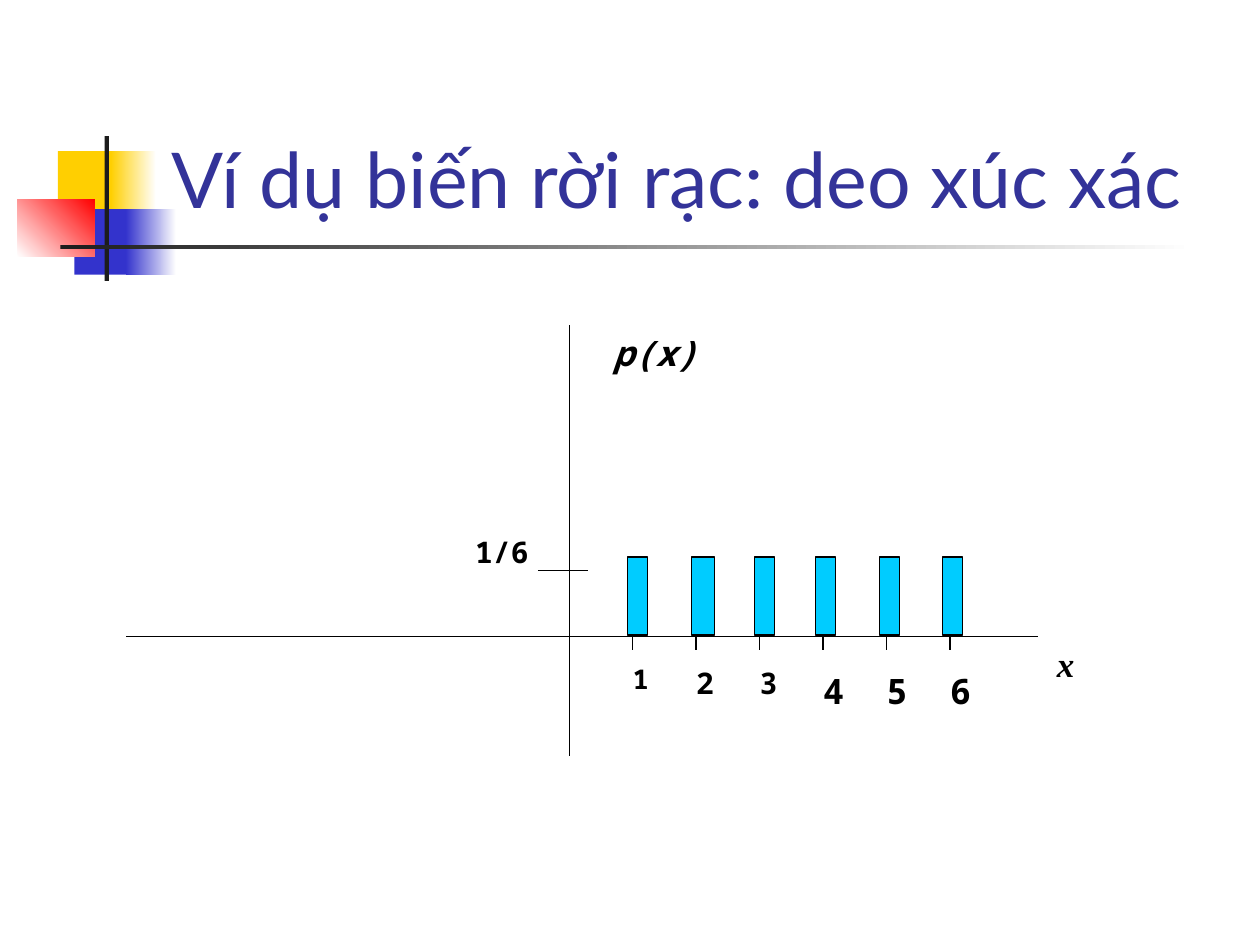
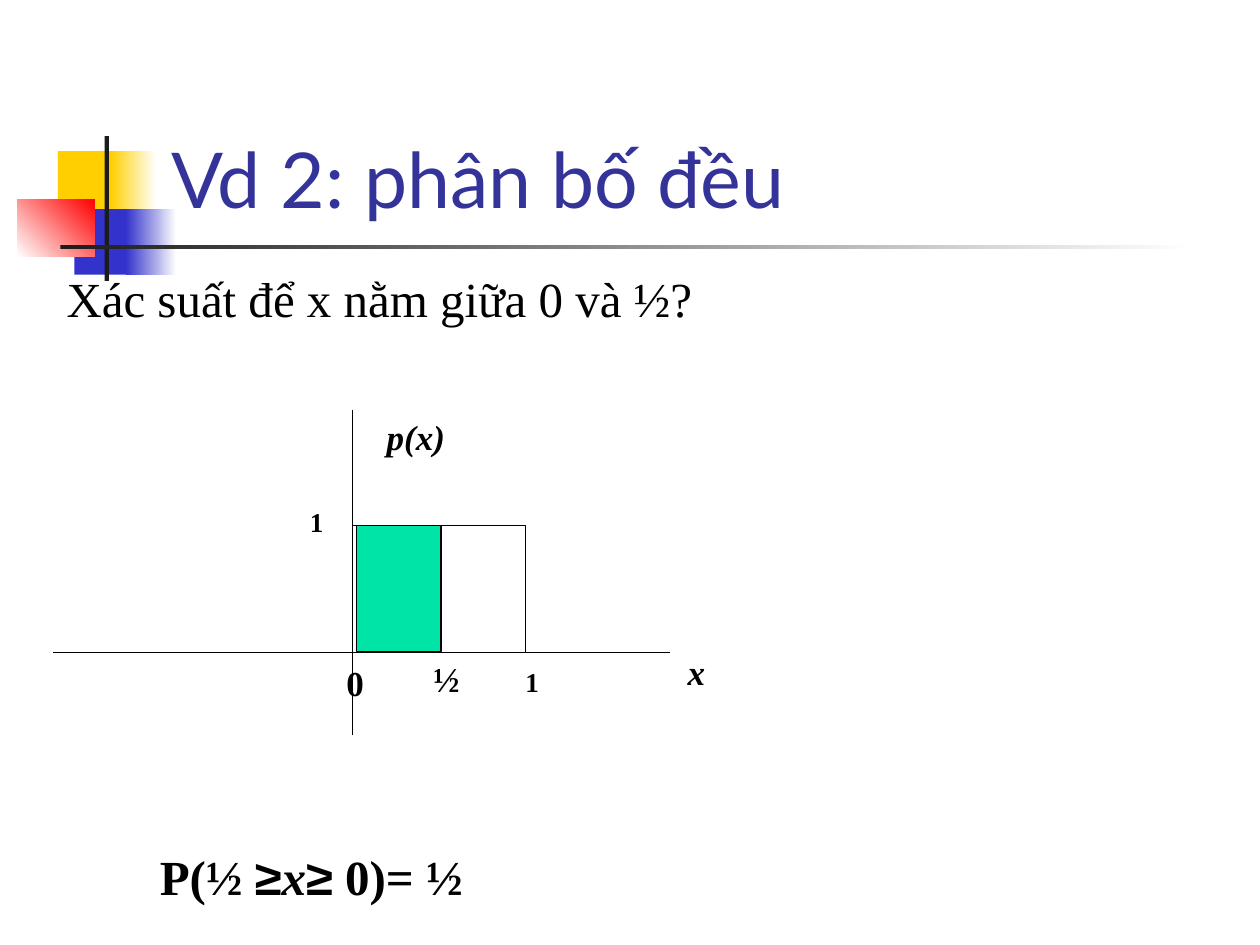
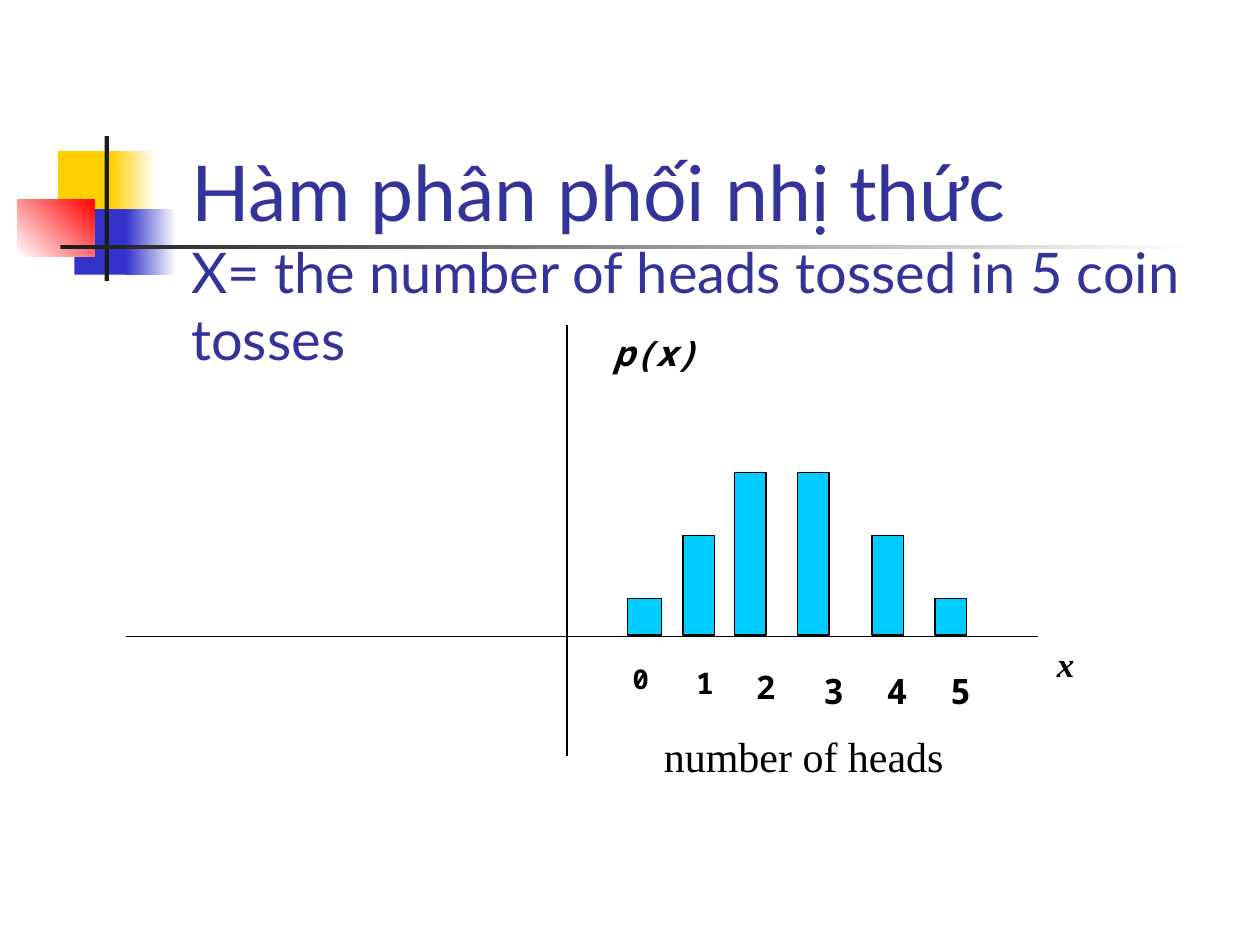
from dataclasses import dataclass

import pptx
import pptx.dml.color
import pptx.enum.dml
import pptx.enum.shapes
import pptx.enum.text
import pptx.oxml
import pptx.oxml.ns
import pptx.util

COLUMNS, ROWS = 100, 75
CELL = pptx.util.Inches(0.1)


@dataclass(frozen=True)
class Theme:
    sans: str = "Lato"
    mono: str = "Noto Sans Mono"
    serif: str = "Times New Roman"
    symbol: str = "Arial"
    title: str = "333399"
    ink: str = "000000"
    yellow: str = "FFCF01"
    blue: str = "3333CC"
    red: str = "FF0000"
    dark: str = "1C1C1C"
    white: str = "FFFFFF"
    bar: str = "00CCFF"
    area: str = "00E4A8"
    title_size: float = 44
    subtitle_size: float = 32
    body_size: float = 28
    caption_size: float = 24
    axis_size: float = 20
    medium_size: float = 18.5
    small_size: float = 17
    tiny_size: float = 15.5
    line_width: float = 0.75


T = Theme()


@dataclass(frozen=True)
class Box:
    left: float
    top: float
    width: float
    height: float


@dataclass(frozen=True)
class Run:
    text: str
    size: float
    font: str = T.serif
    bold: bool = False
    italic: bool = False
    color: str = T.ink


@dataclass(frozen=True)
class Block:
    box: Box
    fill: str | None = None
    fade_to: str | None = None
    angle: float = 0
    outlined: bool = False


@dataclass(frozen=True)
class Label:
    box: Box
    text: str
    size: float
    font: str = T.mono


ORNAMENT = (
    Block(Box(4.6, 12, 4.8, 5.2), T.yellow),
    Block(Box(8.8, 12, 3.6, 5.2), T.yellow, T.white),
    Block(Box(5.9, 16.6, 4.6, 5.2), T.blue),
    Block(Box(10, 16.6, 4, 5.2), T.blue, T.white),
    Block(Box(1.4, 15.8, 6.1, 4.6), T.white, T.red, 45),
    Block(Box(8.3, 10.8, 0.35, 11.5), T.dark),
    Block(Box(4.8, 19.45, 90, 0.35), T.dark, T.white),
)
TITLE_BOX = Box(12.6, 2.3, 85.2, 16)
INSET = (1, 0.5, 1, 0.5)
OPEN_INSET = (1, 0.5, 1, 0)
NO_INSET = (0, 0, 0, 0)
TICK_LEFT, TICK_PITCH = 50.2, 5.04
AXIS_ROW, BAR_BASE = 50.5, 50.4


def rgb(color: str) -> pptx.dml.color.RGBColor:
    return pptx.dml.color.RGBColor.from_string(color)


def grid(*cells: float) -> list[int]:
    return [round(cell * CELL) for cell in cells]


def add_block(s, block: Block) -> None:
    b = block.box
    sp = s.shapes.add_shape(
        pptx.enum.shapes.MSO_SHAPE.RECTANGLE,
        *grid(b.left, b.top, b.width, b.height),
    )
    sp.shadow.inherit = False
    if block.fade_to:
        sp.fill.gradient()
        sp.fill.gradient_angle = block.angle
        for stop, color in zip(sp.fill.gradient_stops, (block.fill, block.fade_to)):
            stop.color.rgb = rgb(color)
    elif block.fill:
        sp.fill.solid()
        sp.fill.fore_color.rgb = rgb(block.fill)
    else:
        sp.fill.background()
    if block.outlined:
        sp.line.color.rgb = rgb(T.ink)
        sp.line.width = pptx.util.Pt(T.line_width)
    else:
        sp.line.fill.background()


def add_line(s, x1: float, y1: float, x2: float, y2: float) -> None:
    c = s.shapes.add_connector(
        pptx.enum.shapes.MSO_CONNECTOR.STRAIGHT, *grid(x1, y1, x2, y2)
    )
    c.line.color.rgb = rgb(T.ink)
    c.line.width = pptx.util.Pt(T.line_width)
    pptx.oxml.ns.qn("a:effectLst")
    c._element.spPr.append(pptx.oxml.parse_xml(
        f"<a:effectLst {pptx.oxml.ns.nsdecls('a')}/>"
    ))


def add_text(
    s,
    b: Box,
    lines: list[list[Run]],
    inset: tuple[float, ...] = INSET,
    spacing: float | None = None,
    bottom: bool = False,
) -> None:
    sp = s.shapes.add_textbox(*grid(b.left, b.top, b.width, b.height))
    tf = sp.text_frame
    tf.word_wrap = True
    tf.margin_left, tf.margin_top, tf.margin_right, tf.margin_bottom = grid(*inset)
    anchor = pptx.enum.text.MSO_ANCHOR
    tf.vertical_anchor = anchor.BOTTOM if bottom else anchor.TOP
    for i, line in enumerate(lines):
        p = tf.add_paragraph() if i else tf.paragraphs[0]
        if spacing:
            p.line_spacing = spacing
        for run in line:
            r = p.add_run()
            r.text = run.text
            r.font.size = pptx.util.Pt(run.size)
            r.font.name = run.font
            r.font.bold = run.bold
            r.font.italic = run.italic
            r.font.color.rgb = rgb(run.color)


def title_run(text: str, size: float = T.title_size) -> Run:
    return Run(text, size, T.sans, color=T.title)


def add_base(prs, title: list[Run], box: Box = TITLE_BOX):
    s = prs.slides.add_slide(prs.slide_layouts[6])
    for block in ORNAMENT:
        add_block(s, block)
    add_text(s, box, [[run] for run in title], bottom=True)
    return s


def add_label(s, label: Label) -> None:
    spacing = {T.tiny_size: 0.8, T.small_size: 0.9, T.medium_size: 0.9}
    run = Run(label.text, label.size, label.font, bold=True)
    add_text(s, label.box, [[run]], NO_INSET, spacing.get(label.size))


def add_axis_name(s, box: Box, text: str, font: str = T.serif) -> None:
    add_text(s, box, [[Run(text, T.axis_size, font, bold=True, italic=True)]])


def add_axes(s, axis_column: float) -> None:
    add_line(s, axis_column, 25.8, axis_column, 60)
    add_line(s, 10, AXIS_ROW, 82.4, AXIS_ROW)
    add_axis_name(s, Box(82.9, AXIS_ROW, 7.1, 6.2), "x")
    add_axis_name(s, Box(47.7, 25.8, 11.9, 6.2), "p(x)", T.mono)


def add_tick_labels(s, first: int, sizes: tuple[float, ...]) -> None:
    for i, size in enumerate(sizes):
        left = TICK_LEFT + i * TICK_PITCH
        top = 53.1
        if size == T.medium_size:
            left, top = 60, 53.3
        add_label(s, Label(Box(left, top, 2.5, 3.5), str(first + i), size))


def add_bars(s, bars: list[tuple[float, float, float]]) -> None:
    for left, width, height in bars:
        box = Box(left, BAR_BASE - height, width, height)
        add_block(s, Block(box, T.bar, outlined=True))


def build_dice(prs) -> None:
    s = add_base(prs, [title_run("Ví dụ biến rời rạc: deo xúc xác")])
    for i in range(6):
        x = TICK_LEFT + i * TICK_PITCH
        add_line(s, x, 47.9, x, 51.6)
    add_axes(s, 45.2)
    add_line(s, 42.7, 45.3, 46.7, 45.3)
    add_label(s, Label(Box(37.7, 42.7, 5.2, 3.1), "1/6", T.small_size))
    add_tick_labels(s, 1, (T.tiny_size,) + (T.small_size,) * 2 + (T.axis_size,) * 3)
    lefts = (49.8, 54.9, 59.9, 64.7, 69.8, 74.8)
    add_bars(s, [(left, 1.8 if i == 1 else 1.6, 6.2) for i, left in enumerate(lefts)])


def build_uniform(prs) -> None:
    s = add_base(prs, [title_run("Vd 2: phân bố đều")])
    question = Run("Xác suất để x nằm giữa 0 và ½?", T.body_size)
    add_text(s, Box(4.3, 20.8, 95, 5.2), [[question]], OPEN_INSET)
    answer = [
        Run("P(½ ", T.body_size, bold=True),
        Run("≥", T.body_size, T.symbol, bold=True),
        Run("x", T.body_size, bold=True, italic=True),
        Run("≥", T.body_size, T.symbol, bold=True),
        Run(" 0)= ½", T.body_size, bold=True),
    ]
    add_text(s, Box(11.7, 66.7, 88, 5.2), [answer], OPEN_INSET)
    add_line(s, 28, 32.5, 28, 58.3)
    add_line(s, 4.2, 51.8, 53.2, 51.8)
    add_axis_name(s, Box(53.6, 51.1, 4.8, 4.7), "x")
    add_axis_name(s, Box(29.7, 32.5, 8.1, 4.7), "p(x)")
    add_block(s, Block(Box(28, 41.7, 13.7, 10.1), outlined=True))
    add_block(s, Block(Box(28.3, 41.7, 6.7, 10), T.area, outlined=True))
    for label in (
        Label(Box(24.6, 40.6, 1.4, 2.8), "1", T.tiny_size, T.serif),
        Label(Box(41.7, 53.3, 1.4, 2.8), "1", T.tiny_size, T.serif),
        Label(Box(34.4, 52.2, 3, 3.9), "½", T.axis_size, T.serif),
        Label(Box(27.5, 52.5, 3, 3.9), "0", T.axis_size, T.serif),
    ):
        add_label(s, label)


def build_binomial(prs) -> None:
    title = [
        title_run("Hàm phân phối nhị thức"),
        title_run("X= the number of heads tossed in 5 coin tosses", T.subtitle_size),
    ]
    s = add_base(prs, title, Box(14.2, 19.2, 82.4, 10.8))
    add_tick_labels(
        s, 0, (T.tiny_size, T.small_size, T.medium_size) + (T.axis_size,) * 3
    )
    lefts = (49.8, 54.2, 58.3, 63.3, 69.2, 74.2)
    add_bars(s, [
        (left, 2.7 if i == 0 else 2.5, 2.9 + 5 * min(i, 5 - i))
        for i, left in enumerate(lefts)
    ])
    add_axes(s, 45)
    caption = Run("number of heads", T.caption_size)
    add_text(s, Box(51.7, 57.5, 33.3, 4.5), [[caption]], OPEN_INSET)


def main() -> None:
    prs = pptx.Presentation()
    prs.slide_width, prs.slide_height = grid(COLUMNS, ROWS)
    for build in (build_dice, build_uniform, build_binomial):
        build(prs)
    prs.save("out.pptx")


if __name__ == "__main__":
    main()
